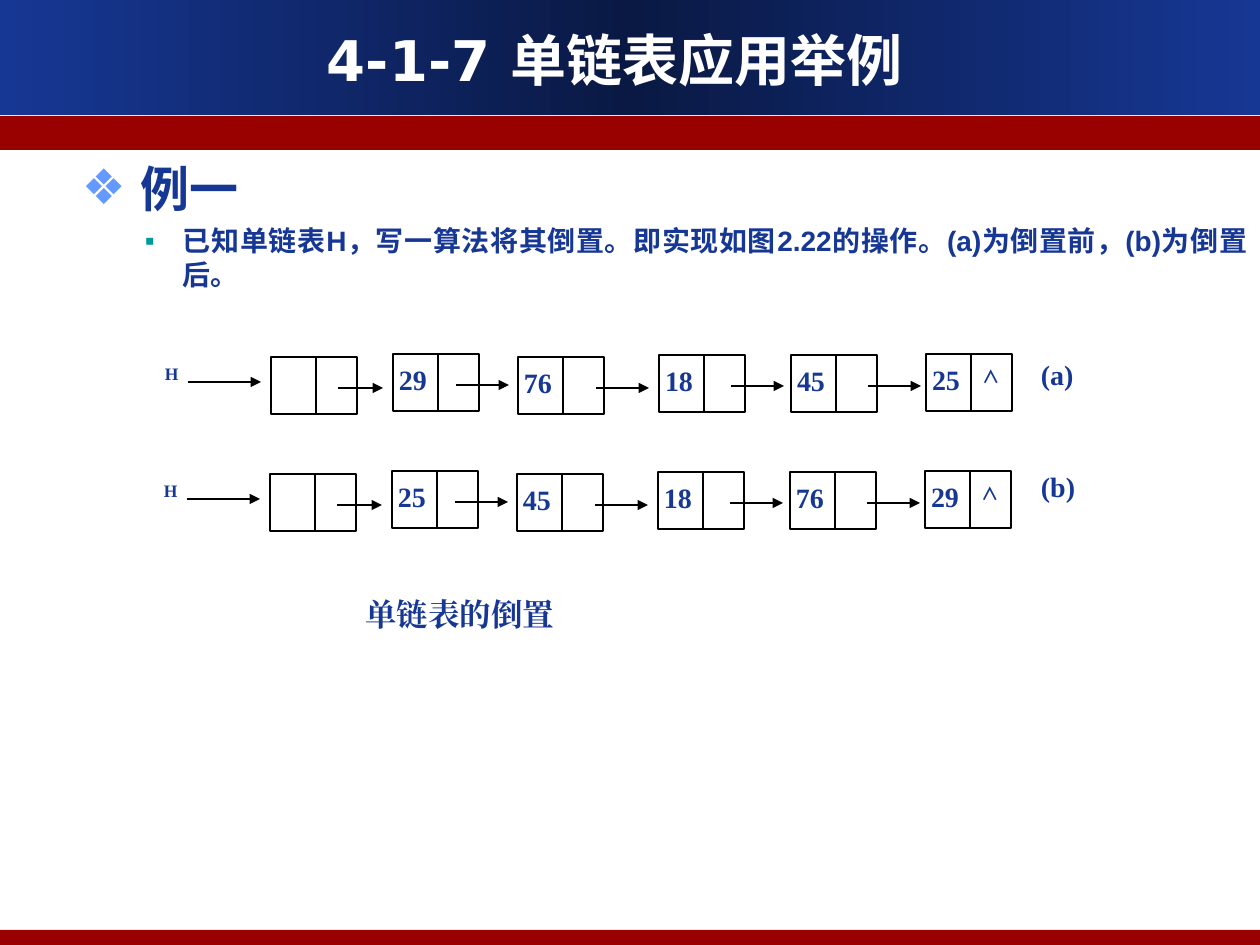
from copy import deepcopy
from lxml.etree import SubElement
from pptx import Presentation
from pptx.dml.color import RGBColor
from pptx.enum.shapes import MSO_CONNECTOR as Link, MSO_SHAPE as Shape
from pptx.enum.text import MSO_ANCHOR as Anchor, MSO_AUTO_SIZE as AutoSize, PP_ALIGN as Align
from pptx.oxml.ns import qn
from pptx.util import Pt

NAVY = RGBColor(0x16, 0x37, 0x94)
DEEP = RGBColor(0x0A, 0x19, 0x44)
RED = RGBColor(0x99, 0x00, 0x00)
SKY = RGBColor(0x64, 0x99, 0xFF)
TEAL = RGBColor(0x00, 0x99, 0x99)
WHITE = RGBColor(0xFF, 0xFF, 0xFF)
BLACK = RGBColor(0x00, 0x00, 0x00)
SERIF = "Times New Roman"

# Content
TITLE = "4-1-7 单链表应用举例 "
BODY = [  # text, level, size, space before, bullet, bullet colour, margin, hanging
    ("例一", 0, 28, 0, "❖", SKY, 59, 59),
    ("已知单链表H，写一算法将其倒置。即实现如图2.22的操作。(a)为倒置前，(b)为倒置后。",
     1, 16, 4, "▪", TEAL, 101, 38),
]
CAPTION = "单链表的倒置"
LISTS = [  # name, node values, row shift x and y, name top
    ("(a)", ["", "29", "76", "18", "45", "25"], 0, 0, 358),
    ("(b)", ["", "25", "45", "18", "76", "29"], -1, 117, 470),
]
NODES = [(271, 357), (393, 354), (518, 357), (659, 355), (791, 355), (926, 354)]
ARROWS = [(338, 383), (456, 509), (596, 649), (731, 784), (868, 921)]
NODE_WIDTH, NODE_HEIGHT, DIVIDER, ARROW_DROP = 86, 57, 45, 31

SCALE = 914400 / 126


def px(*lengths):
    return [round(length * SCALE) for length in lengths]


deck = Presentation()
deck.slide_width, deck.slide_height = px(1260, 945)
page = deck.slides.add_slide(deck.slide_layouts[5])


def write(para, text, size, face, colour=NAVY, align=Align.LEFT):
    para.alignment = align
    span = para.add_run()
    span.text = text
    style = {"size": Pt(size), "name": face, "bold": True}
    for key, value in style.items():
        setattr(span.font, key, value)
    span.font.color.rgb = colour
    SubElement(span.font._element, qn("a:ea"), typeface=face)


def set_frame(frame, margins=(0, 0), anchor=Anchor.TOP):
    side, top = px(*margins)
    style = {"margin_left": side, "margin_right": side, "margin_top": top,
             "margin_bottom": top, "vertical_anchor": anchor,
             "word_wrap": True, "auto_size": AutoSize.NONE}
    for key, value in style.items():
        setattr(frame, key, value)


def indent(para, margin, hanging=0):
    left, first = px(margin, -hanging)
    props = para._p.get_or_add_pPr()
    props.set("marL", str(left))
    props.set("indent", str(first))
    return props


def add_box(left, top, width, height, fill=WHITE, outlined=False):
    box = page.shapes.add_shape(Shape.RECTANGLE, *px(left, top, width, height))
    box.shadow.inherit = False
    box.fill.solid()
    box.fill.fore_color.rgb = fill
    if outlined:
        box.line.color.rgb = BLACK
        box.line.width = Pt(0.75)
    else:
        box.line.fill.background()
    return box


def add_label(text, left, top, width, height, size, face=SERIF, align=Align.JUSTIFY):
    box = add_box(left, top, width, height)
    set_frame(box.text_frame)
    para = box.text_frame.paragraphs[0]
    write(para, text, size, face, align=align)
    return para


def add_line(x1, y1, x2, y2, arrow=False):
    line = page.shapes.add_connector(Link.STRAIGHT, *px(x1, y1, x2, y2))
    line.line.color.rgb = BLACK
    line.line.width = Pt(0.75)
    if arrow:
        SubElement(line.line._get_or_add_ln(), qn("a:tailEnd"), type="triangle")
    SubElement(line._element.spPr, qn("a:effectLst"))


# Header and footer bands
header = add_box(0, 0, 1260, 115)
header.fill.gradient()
header.fill.gradient_angle = 0
first, last = header.fill.gradient_stops
for stop, position in ((first, 0), (last, 1)):
    stop.color.rgb = NAVY
    stop.position = position
middle = deepcopy(first._gs)
first._gs.addnext(middle)
stop = header.fill.gradient_stops[1]
stop.position = 0.5
stop.color.rgb = DEEP
add_box(0, 116, 1260, 34, RED)
add_box(0, 930, 1260, 15, RED)

# Title, brought in front of the header band
title = page.shapes.title
title.left, title.top, title.width, title.height = px(42, 20, 1165, 79)
set_frame(title.text_frame, (13, 6), Anchor.MIDDLE)
write(title.text_frame.paragraphs[0], TITLE, 32, "DejaVu Sans", WHITE, Align.CENTER)
page.shapes._spTree.append(title._element)

# Bulleted body
body = page.shapes.add_textbox(*px(69, 152, 1191, 738)).text_frame
set_frame(body, (13, 6))
for number, (text, level, size, before, bullet, colour, margin, hanging) in enumerate(BODY):
    para = body.add_paragraph() if number else body.paragraphs[0]
    para.level = level
    para.space_before = Pt(before)
    props = indent(para, margin, hanging)
    SubElement(SubElement(props, qn("a:buClr")), qn("a:srgbClr"), val=str(colour))
    SubElement(props, qn("a:buFont"), typeface="Arial")
    SubElement(props, qn("a:buChar"), char=bullet)
    write(para, text, size, "Arial", align=Align.JUSTIFY)

# Caption
indent(add_label(CAPTION, 214, 595, 638, 55, 18, align=Align.LEFT), 151)

# Linked lists
for name, values, dx, dy, name_top in LISTS:
    add_label("H", 165 + dx, 363 + dy, 45, 43, 10)
    add_line(188 + dx, 382 + dy, 261 + dx, 382 + dy, arrow=True)
    for (left, top), value in zip(NODES, values):
        x, y = left + dx, top + dy
        add_box(x, y, NODE_WIDTH, NODE_HEIGHT, outlined=True)
        add_line(x + DIVIDER, y, x + DIVIDER, y + NODE_HEIGHT)
        if value:
            add_label(value, x + 6, y + 9, 32, 42, 16)
    add_label("∧", x + 57, y + 12, 24, 34, 10, "Noto Sans CJK SC")
    for (start, end), (left, top) in zip(ARROWS, NODES):
        y = top + dy + ARROW_DROP
        add_line(start + dx, y, end + dx, y, arrow=True)
    add_label(name, 1041, name_top, 44, 55, 16)

deck.save("out.pptx")
